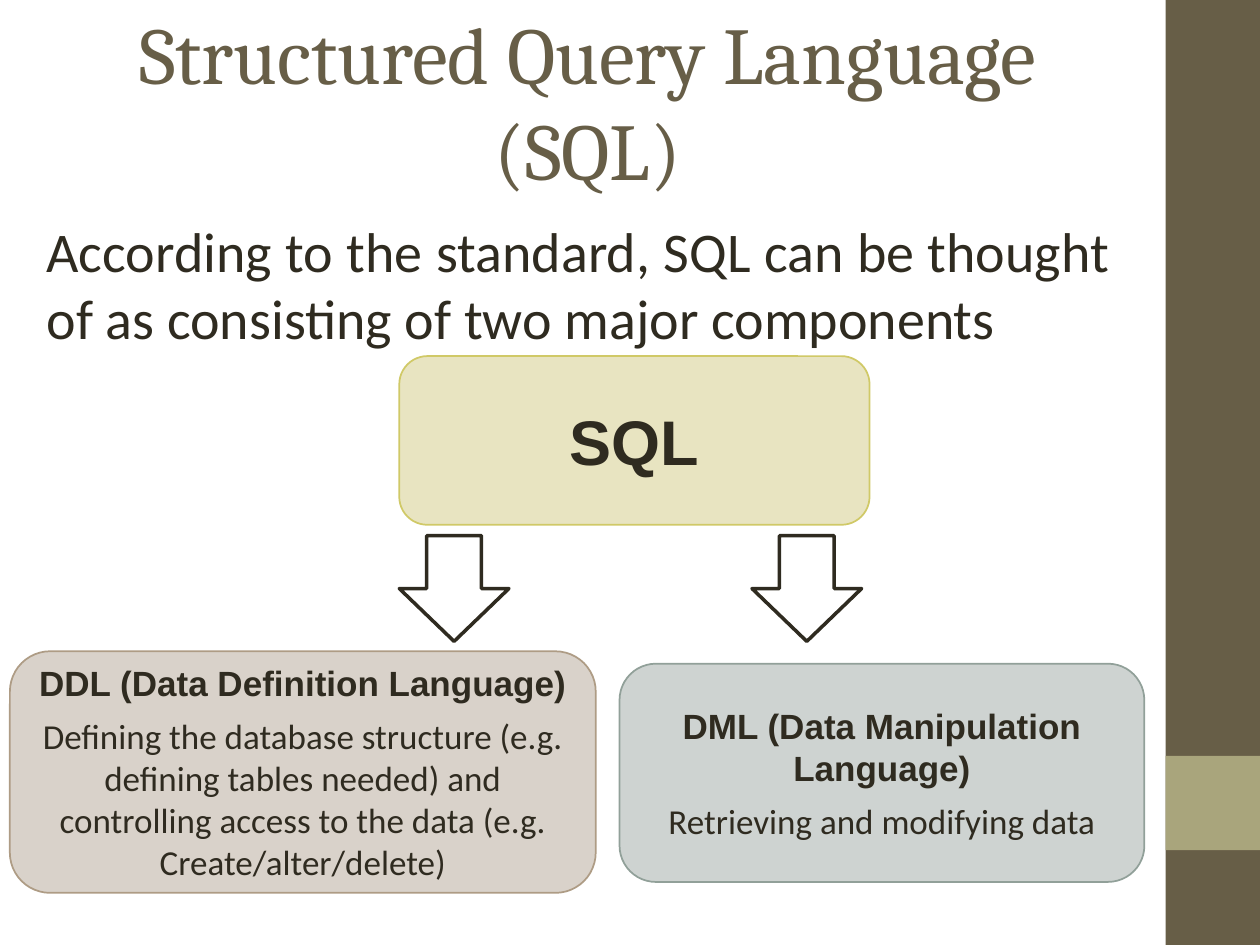
from pptx import Presentation
from pptx.dml.color import RGBColor
from pptx.enum.shapes import MSO_SHAPE
from pptx.enum.text import MSO_ANCHOR, PP_ALIGN
from pptx.util import Cm, Pt

BROWN = RGBColor(0x67, 0x5E, 0x47)
OLIVE = RGBColor(0xA9, 0xA5, 0x7C)
INK = RGBColor(0x2F, 0x2B, 0x20)
CREAM = RGBColor(0xE8, 0xE4, 0xC1)
YELLOW = RGBColor(0xD0, 0xC9, 0x67)
BEIGE = RGBColor(0xD9, 0xD2, 0xCA)
TAN = RGBColor(0xAE, 0x9C, 0x85)
MIST = RGBColor(0xCE, 0xD3, 0xD1)
SAGE = RGBColor(0x91, 0xA0, 0x99)


class SlideBuilder:
    """Draws styled elements on the current slide, with bounds in centimetres."""

    heading_font = "Arial"
    body_font = "Calibri"
    title_font = "Cambria"

    def __init__(self, slide):
        self.slide = slide

    def add_text_run(self, paragraph, text, font, size, color=INK, bold=False,
                     align=PP_ALIGN.CENTER):
        paragraph.alignment = align
        run = paragraph.add_run()
        run.text = text
        run.font.name = font
        run.font.size = Pt(size)
        run.font.bold = bold
        run.font.color.rgb = color

    def text(self, bounds, text, font, size, color, align, anchor=MSO_ANCHOR.TOP):
        frame = self.slide.shapes.add_textbox(*map(Cm, bounds)).text_frame
        frame.word_wrap = True
        frame.vertical_anchor = anchor
        self.add_text_run(frame.paragraphs[0], text, font, size, color, align=align)

    def shape(self, kind, bounds, fill=None, line=None, width=1):
        shape = self.slide.shapes.add_shape(kind, *map(Cm, bounds))
        shape.shadow.inherit = False
        if fill is None:
            shape.fill.background()
        else:
            shape.fill.solid()
            shape.fill.fore_color.rgb = fill
        if line is None:
            shape.line.fill.background()
        else:
            shape.line.color.rgb = line
            shape.line.width = Pt(width)
        return shape

    def card(self, bounds, fill, line, heading, size, detail=None):
        frame = self.shape(MSO_SHAPE.ROUNDED_RECTANGLE, bounds, fill, line).text_frame
        frame.word_wrap = True
        frame.vertical_anchor = MSO_ANCHOR.MIDDLE
        self.add_text_run(frame.paragraphs[0], heading, self.heading_font, size, bold=True)
        if detail:
            frame.paragraphs[0].space_after = Pt(6)
            self.add_text_run(frame.add_paragraph(), detail, self.body_font, size)


def main():
    presentation = Presentation()
    presentation.slide_width = Cm(25.4)
    presentation.slide_height = Cm(19.05)
    builder = SlideBuilder(presentation.slides.add_slide(presentation.slide_layouts[6]))

    builder.shape(MSO_SHAPE.RECTANGLE, (23.5, 0, 1.9, 19.05), BROWN)
    builder.shape(MSO_SHAPE.RECTANGLE, (23.5, 15.24, 1.9, 1.9), OLIVE)

    builder.text((1.27, 0.43, 21.16, 3.18), "Structured Query Language (SQL)",
                 builder.title_font, 46, BROWN, PP_ALIGN.CENTER, MSO_ANCHOR.MIDDLE)
    builder.text((0.69, 4.24, 21.95, 3),
                 "According to the standard, SQL can be thought of as consisting of two major components",
                 builder.body_font, 32, INK, PP_ALIGN.JUSTIFY)

    builder.card((8.05, 7.18, 9.48, 3.4), CREAM, YELLOW, "SQL", 36)
    builder.card((0.2, 13.13, 11.81, 4.87), BEIGE, TAN, "DDL (Data Definition Language)", 20,
                 "Defining the database structure (e.g. defining tables needed) and "
                 "controlling access to the data (e.g. Create/alter/delete)")
    builder.card((12.49, 13.38, 10.58, 4.4), MIST, SAGE, "DML (Data Manipulation Language)", 20,
                 "Retrieving and modifying data")

    for arrow_left in (8.05, 15.16):
        builder.shape(MSO_SHAPE.DOWN_ARROW, (arrow_left, 10.8, 2.21, 2.13), line=INK, width=2)

    presentation.save("out.pptx")


if __name__ == "__main__":
    main()
